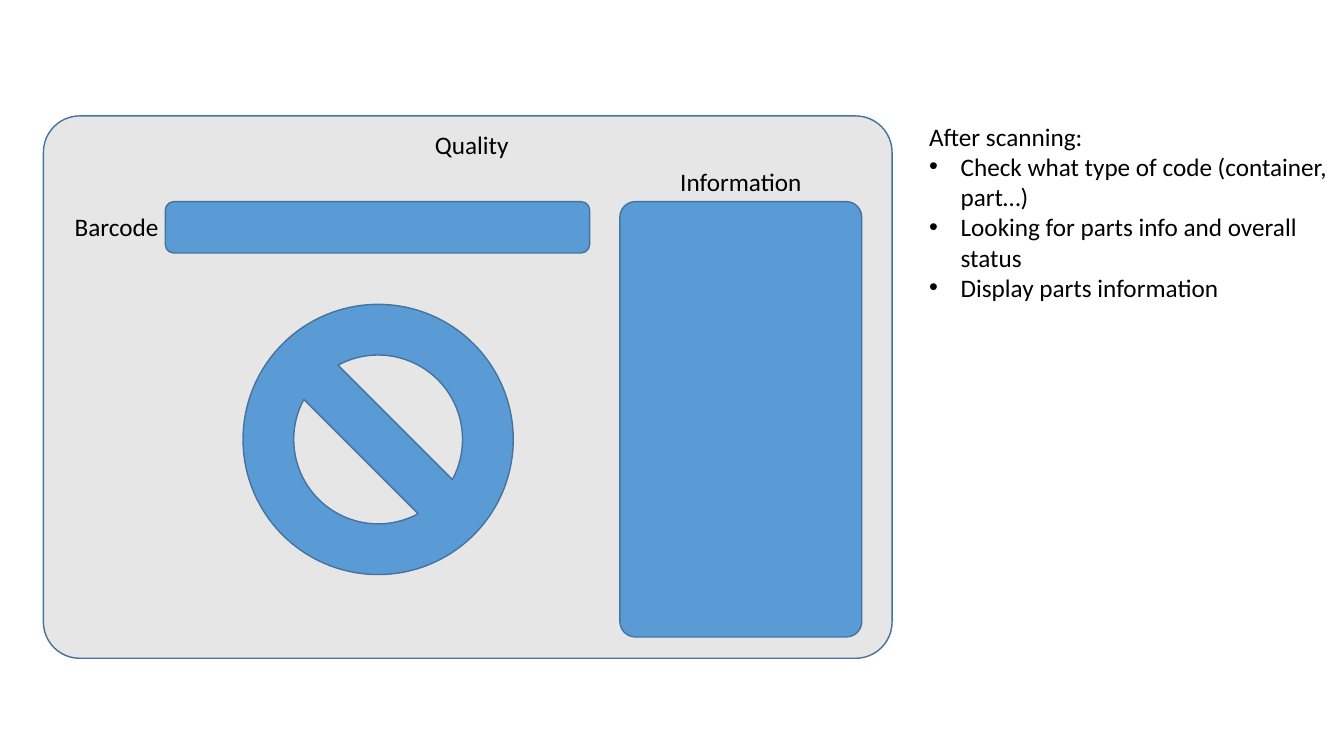
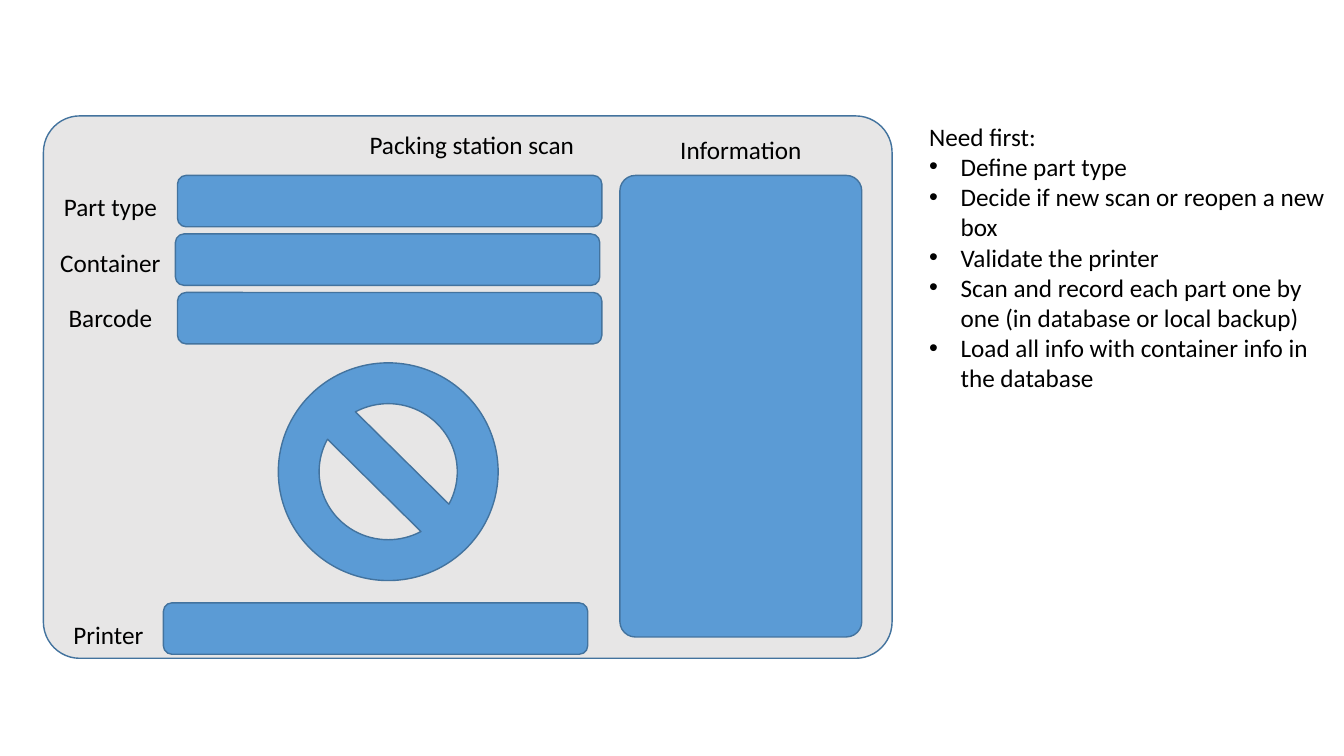
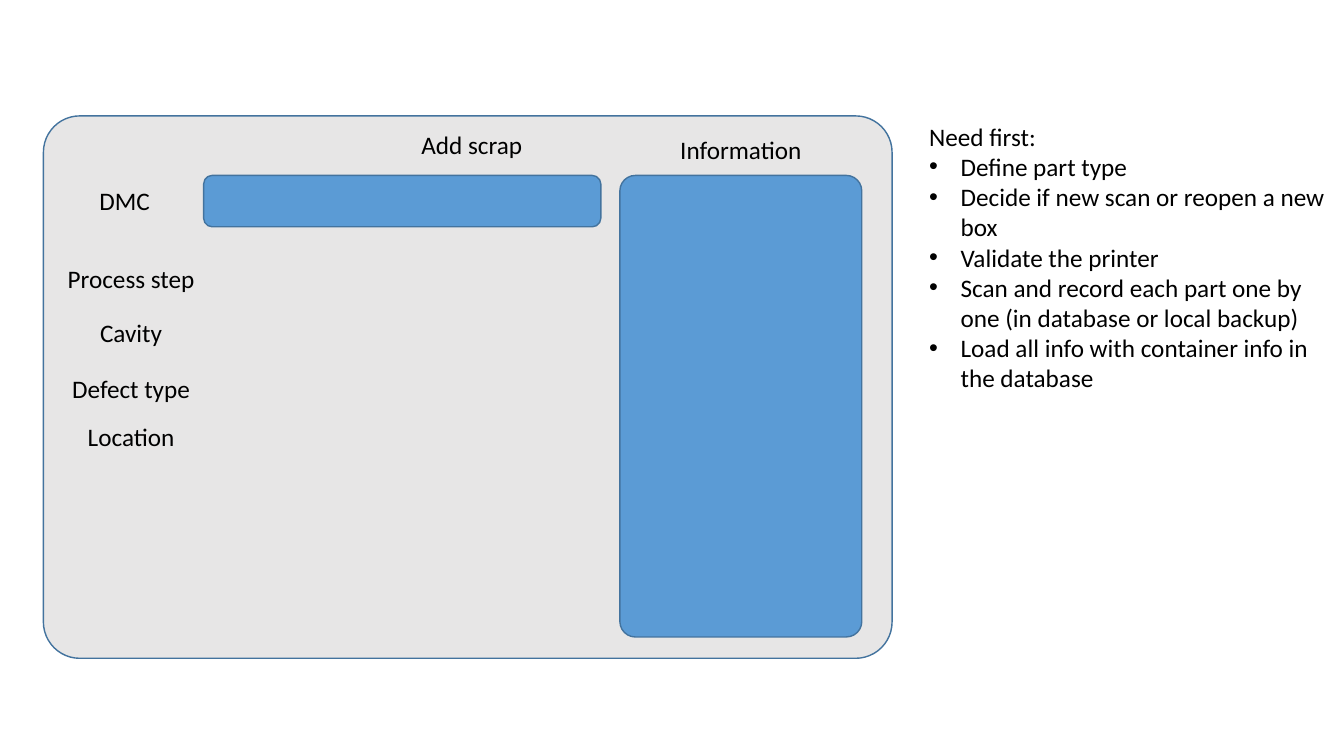
from dataclasses import dataclass
from pptx import Presentation
from pptx.dml.color import RGBColor
from pptx.enum.shapes import MSO_SHAPE
from pptx.enum.text import MSO_ANCHOR, MSO_AUTO_SIZE, PP_ALIGN
from pptx.oxml.ns import qn
from pptx.util import Pt
from lxml.etree import SubElement


@dataclass(frozen=True)
class Theme:
    """Colours, type and measures shared by every slide."""
    panel: RGBColor = RGBColor(0xE7, 0xE6, 0xE6)
    accent: RGBColor = RGBColor(0x5B, 0x9B, 0xD5)
    line: RGBColor = RGBColor(0x43, 0x73, 0x9E)
    text: RGBColor = RGBColor(0, 0, 0)
    font: str = "Calibri"
    size: float = 18
    label_h: float = 29
    bar_h: float = 36.7
    indent: float = 22.5


@dataclass(frozen=True)
class Box:
    """A rectangle in points."""
    x: float
    y: float
    w: float
    h: float

    def inside(self, x, y, w, h):
        """Return a box whose offset is counted from this one."""
        return Box(self.x + x, self.y + y, w, h)

    def emu(self):
        """Return left, top, width and height as lengths."""
        return Pt(self.x), Pt(self.y), Pt(self.w), Pt(self.h)


T = Theme()
SCREEN = Box(31, 82.8, 606.2, 387.4)
NOTES_X, NOTES_W = 656.6, 303.4
INFO_X, INFO_W, INFO_BOTTOM = 411.8, 172.8, 372.2

PACKING_NOTES = ("Need first:", [
    "Define part type",
    "Decide if new scan or reopen a new box",
    "Validate the printer",
    "Scan and record each part one by one (in database or local backup)",
    "Load all info with container info in the database",
])


def add_shape(s, kind, box, fill, adj=None):
    """Add a filled and outlined preset shape."""
    sp = s.shapes.add_shape(kind, *box.emu())
    sp.shadow.inherit = False
    sp.fill.solid()
    sp.fill.fore_color.rgb = fill
    sp.line.color.rgb = T.line
    sp.line.width = Pt(1)
    if adj is not None:
        sp.adjustments[0] = adj
    return sp


def add_run(p, text):
    """Add one run in the shared type."""
    r = p.add_run()
    r.text = text
    r.font.name = T.font
    r.font.size = Pt(T.size)
    r.font.color.rgb = T.text


def set_label(sp, text):
    """Fill a text shape with one centred line."""
    tf = sp.text_frame
    tf.word_wrap = True
    tf.auto_size = MSO_AUTO_SIZE.NONE
    tf.vertical_anchor = MSO_ANCHOR.TOP
    p = tf.paragraphs[0]
    p.alignment = PP_ALIGN.CENTER
    add_run(p, text)


def add_label(s, box, text):
    """Add a centred one-line label."""
    set_label(s.shapes.add_textbox(*box.emu()), text)


def add_bar(s, box, x, y, w=303.1):
    """Add an input bar inside the box."""
    add_shape(s, MSO_SHAPE.ROUNDED_RECTANGLE, box.inside(x, y, w, T.bar_h), T.accent)


def add_labels(s, box, labels, x, w=92.9):
    """Add a column of labels, each given as text and top."""
    for text, y in labels:
        add_label(s, box.inside(x, y, w, T.label_h), text)


def add_info(s, box, top, label_gap):
    """Add the information area with its heading above."""
    area = box.inside(INFO_X, top, INFO_W, INFO_BOTTOM - top)
    add_shape(s, MSO_SHAPE.ROUNDED_RECTANGLE, area, T.accent, 0.064)
    add_label(s, area.inside(0, -label_gap, INFO_W, T.label_h), "Information")


def add_status(s, box, x, y, w, h):
    """Add the stop sign inside the box."""
    add_shape(s, MSO_SHAPE.NO_SYMBOL, box.inside(x, y, w, h), T.accent)


def add_notes(s, box, heading, items):
    """Add a heading with a bulleted list."""
    tf = s.shapes.add_textbox(*box.emu()).text_frame
    tf.word_wrap = True
    add_run(tf.paragraphs[0], heading)
    for item in items:
        p = tf.add_paragraph()
        pPr = p._p.get_or_add_pPr()
        pPr.set("marL", str(Pt(T.indent)))
        pPr.set("indent", str(-Pt(T.indent)))
        SubElement(pPr, qn("a:buFont")).set("typeface", "Arial")
        SubElement(pPr, qn("a:buChar")).set("char", "•")
        add_run(p, item)


def add_screen(prs, box, title, notes, notes_h, info_top, info_gap):
    """Start a slide with the titled panel, information area and notes."""
    s = prs.slides.add_slide(prs.slide_layouts[5])
    panel = add_shape(s, MSO_SHAPE.ROUNDED_RECTANGLE, box, T.panel, 0.067)
    sp = s.shapes.title
    sp.left, sp.top, sp.width, sp.height = box.inside(27.4, 5.8, 557.3, T.label_h).emu()
    set_label(sp, title)
    panel._element.addnext(sp._element)
    add_info(s, box, info_top, info_gap)
    add_notes(s, Box(NOTES_X, box.y, NOTES_W, notes_h), *notes)
    return s


def quality_slide(prs, box):
    """Build the quality screen."""
    notes = ("After scanning:", [
        "Check what type of code (container, part…)",
        "Looking for parts info and overall status",
        "Display parts information",
    ])
    s = add_screen(prs, box, "Quality", notes, 138, 61.2, 29)
    add_bar(s, box, 87.1, 61.2)
    add_labels(s, box, [("Barcode", 64.8)], 5.8)
    add_status(s, box, 142.6, 134.6, 193, 193)


def packing_slide(prs, box):
    """Build the packing station screen."""
    s = add_screen(prs, box, "Packing station scan", PACKING_NOTES, 225, 42.5, 33)
    for i, x in enumerate((95.8, 94.3, 95.8)):
        add_bar(s, box, x, 42.5 + 41.8 * i)
    names = ("Part type", "Container", "Barcode")
    add_labels(s, box, [(name, 50.4 + 39.6 * i) for i, name in enumerate(names)], 1.4)
    add_status(s, box, 167.8, 176.4, 157, 155.5)
    add_bar(s, box, 85.7, 347.8)
    add_labels(s, box, [("Printer", 355.7)], 0)


def scrap_slide(prs, box):
    """Build the scrap entry screen."""
    s = add_screen(prs, box, "Add scrap", PACKING_NOTES, 225, 42.5, 33)
    add_bar(s, box, 114.5, 42.5, 283.7)
    add_labels(s, box, [("DMC", 46.1)], 11.5)
    add_labels(s, box, [("Process step", 101.5), ("Cavity", 140.4),
                        ("Defect type", 180), ("Location", 214.6)], -0.7, 126.7)


def main():
    """Build and save the presentation."""
    prs = Presentation()
    prs.slide_width, prs.slide_height = Pt(960), Pt(540)
    for build in (quality_slide, packing_slide, scrap_slide):
        build(prs, SCREEN)
    prs.save("out.pptx")


if __name__ == "__main__":
    main()
